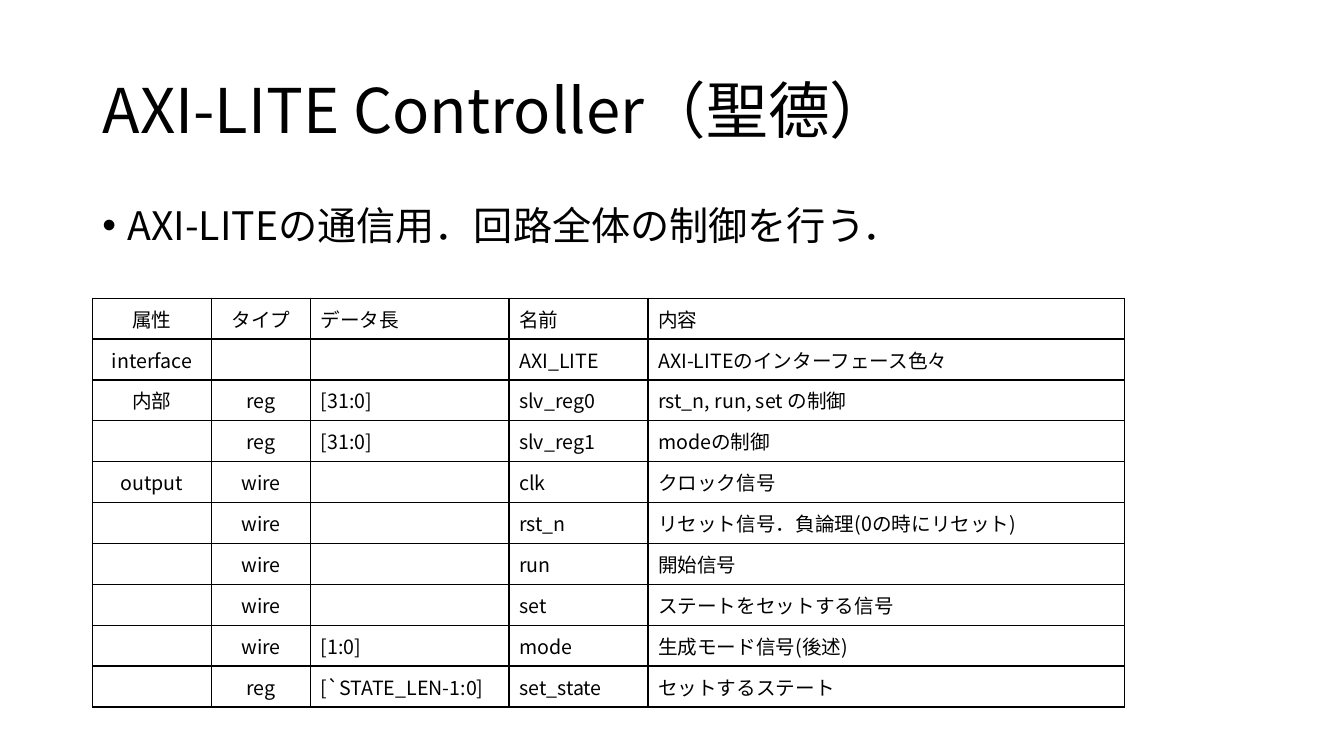
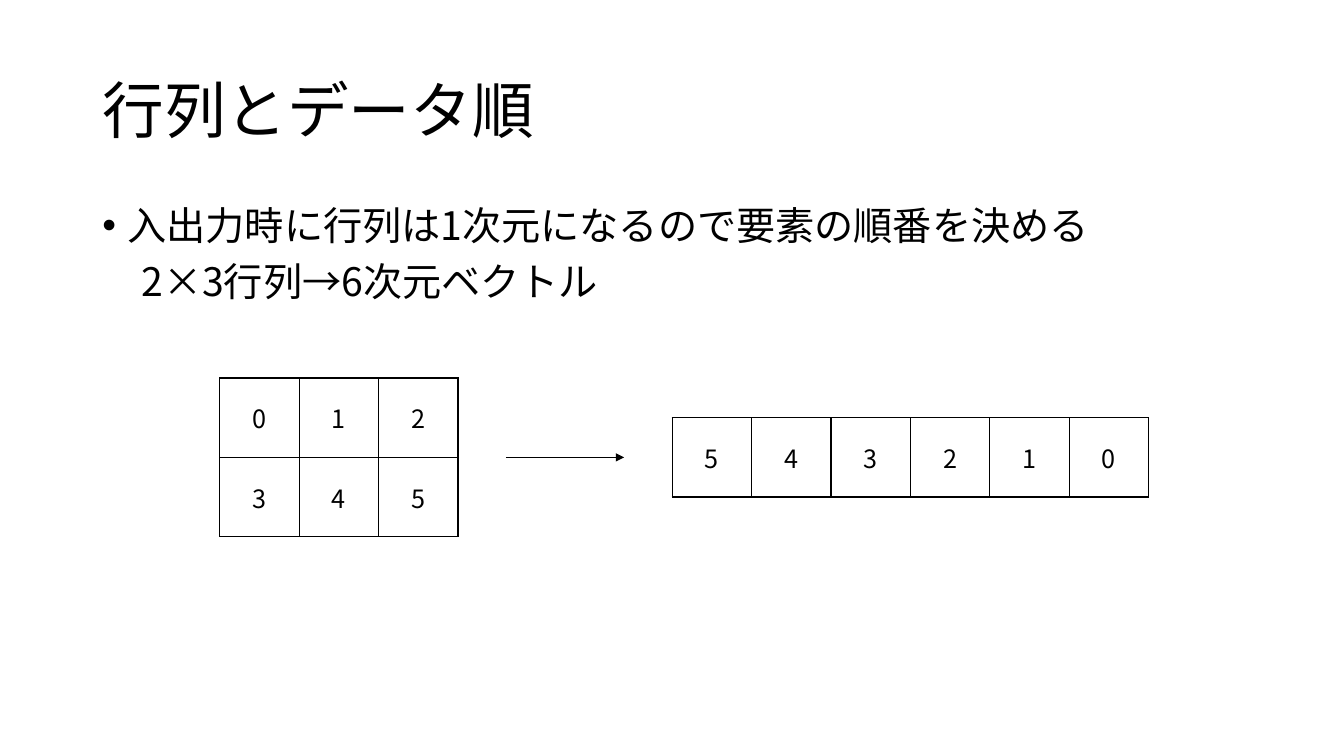
from pptx import Presentation
from pptx.dml.color import RGBColor
from pptx.enum import shapes, text
from pptx.oxml import ns, xmlchemy
from pptx.util import Pt

FONT = "Noto Sans CJK JP"
INK = "000000"
CENTIMETRE = 28.35
CELL = 2 * CENTIMETRE
TITLE_BOX = (66, 28.8, 828, 104.4)
BODY_BOX = (66, 144, 828, 342.7)
FRAME_FORMAT = {"word_wrap": True, "auto_size": text.MSO_AUTO_SIZE.NONE}
BODY_FORMAT = {"line_spacing": 0.9, "space_before": Pt(10)}
LEFT, CENTER = text.PP_ALIGN.LEFT, text.PP_ALIGN.CENTER

SIGNAL_COLUMNS = [
    (3, CENTER), (2.5, CENTER), (5, LEFT), (3.5, LEFT), (12, LEFT),
]
SIGNAL_ROWS = [
    ("属性", "タイプ", "データ長", "名前", "内容"),
    ("interface", "", "", "AXI_LITE", "AXI-LITEのインターフェース色々"),
    ("内部", "reg", "[31:0]", "slv_reg0", "rst_n, run, set の制御"),
    ("", "reg", "[31:0]", "slv_reg1", "modeの制御"),
    ("output", "wire", "", "clk", "クロック信号"),
    ("", "wire", "", "rst_n", "リセット信号．負論理(0の時にリセット)"),
    ("", "wire", "", "run", "開始信号"),
    ("", "wire", "", "set", "ステートをセットする信号"),
    ("", "wire", "[1:0]", "mode", "生成モード信号(後述)"),
    ("", "reg", "[`STATE_LEN-1:0]", "set_state", "セットするステート"),
]


def color(value):
    """Turn a hex string into a colour."""
    return RGBColor.from_string(value)


def apply_format(target, values):
    """Set each named attribute on the target."""
    for name, value in values.items():
        setattr(target, name, value)


def add_element(parent, tag, **attributes):
    """Append a drawing element with the given attributes."""
    element = xmlchemy.OxmlElement(tag)
    for name, value in attributes.items():
        element.set(name, str(value))
    parent.append(element)
    return element


def write(paragraph, content, size, **values):
    """Write one formatted run, or size the paragraph if it is empty."""
    apply_format(paragraph, values)
    if not content:
        add_element(paragraph._p, "a:endParaRPr", sz=size * 100)
        return
    run = paragraph.add_run()
    run.text = content
    apply_format(run.font, {"name": FONT, "size": Pt(size)})
    run.font.color.rgb = color(INK)
    add_element(run.font._element, "a:ea", typeface=FONT)


def add_title(slide, content, box):
    """Place and format the slide title."""
    title = slide.shapes.title
    apply_format(title, dict(zip(("left", "top", "width", "height"), map(Pt, box))))
    frame = title.text_frame
    apply_format(frame, FRAME_FORMAT | {"vertical_anchor": text.MSO_ANCHOR.MIDDLE})
    write(frame.paragraphs[0], content, 44, alignment=LEFT, line_spacing=0.9)


def add_body(slide, lines, box):
    """Place the body text with a bullet on its first line."""
    frame = slide.shapes.add_textbox(*map(Pt, box)).text_frame
    apply_format(frame, FRAME_FORMAT)
    for index, line in enumerate(lines):
        paragraph = frame.add_paragraph() if index else frame.paragraphs[0]
        write(paragraph, line, 28, **BODY_FORMAT)
        if index == 0:
            properties = paragraph._p.get_or_add_pPr()
            properties.set("marL", str(Pt(18)))
            properties.set("indent", str(-Pt(18)))
            add_element(properties, "a:buFont", typeface="Arial")
            add_element(properties, "a:buChar", char="•")


def outline_cell(cell):
    """Draw the four borders of a cell and clear its fill."""
    properties = cell._tc.get_or_add_tcPr()
    for side in ("L", "R", "T", "B"):
        border = add_element(properties, f"a:ln{side}", w=Pt(1))
        fill = add_element(border, "a:solidFill")
        add_element(fill, "a:srgbClr", val=INK)
    cell.fill.background()


def add_grid(slide, rows, columns, left, top, row_height, size):
    """Place a ruled table whose columns are (centimetres, alignment)."""
    widths = [width * CENTIMETRE for width, _ in columns]
    box = (left, top, sum(widths), row_height * len(rows))
    table = slide.shapes.add_table(len(rows), len(columns), *map(Pt, box)).table
    apply_format(table, {"first_row": False, "horz_banding": False})
    for column, width in zip(table.columns, widths):
        column.width = Pt(width)
    for row, values in zip(table.rows, rows):
        row.height = Pt(row_height)
        for cell, value, (_, alignment) in zip(row.cells, values, columns):
            cell.vertical_anchor = text.MSO_ANCHOR.MIDDLE
            write(cell.text_frame.paragraphs[0], value, size, alignment=alignment)
            outline_cell(cell)


def add_arrow(slide, left, middle, length):
    """Draw a thin horizontal arrow to the right."""
    ends = map(Pt, (left, middle, left + length, middle))
    arrow = slide.shapes.add_connector(shapes.MSO_CONNECTOR.STRAIGHT, *ends)
    arrow.line.width = Pt(0.5)
    arrow.line.color.rgb = color(INK)
    add_element(arrow._element.find(ns.qn("p:spPr")), "a:effectLst")
    add_element(arrow.line._get_or_add_ln(), "a:tailEnd", type="triangle")


def add_flattening(slide, left, top):
    """Place the matrix, the arrow and the vector on one middle line."""
    gap, length = 34.3, 84.5
    middle = top + CELL
    arrow_left = left + 3 * CELL + gap
    vector_left = arrow_left + length + gap
    square = (2, CENTER)
    add_grid(slide, ["012", "345"], [square] * 3, left, top, CELL, 18)
    add_grid(slide, ["543210"], [square] * 6, vector_left, middle - CELL / 2, CELL, 18)
    add_arrow(slide, arrow_left, middle, length)


def add_slide(presentation, title, lines):
    """Add a slide with the shared title and body text."""
    slide = presentation.slides.add_slide(presentation.slide_layouts[5])
    add_title(slide, title, TITLE_BOX)
    add_body(slide, lines, BODY_BOX)
    return slide


def main():
    """Build and save the presentation."""
    presentation = Presentation()
    apply_format(presentation, {"slide_width": Pt(960), "slide_height": Pt(540)})
    controller = add_slide(
        presentation,
        "AXI-LITE Controller（聖德）",
        ["AXI-LITEの通信用．回路全体の制御を行う．"],
    )
    add_grid(controller, SIGNAL_ROWS, SIGNAL_COLUMNS, 66, 213, 29.2, 14)
    ordering = add_slide(
        presentation,
        "行列とデータ順",
        ["入出力時に行列は1次元になるので要素の順番を決める", "　2×3行列→6次元ベクトル"],
    )
    add_flattening(ordering, 157, 270)
    presentation.save("out.pptx")


if __name__ == "__main__":
    main()
